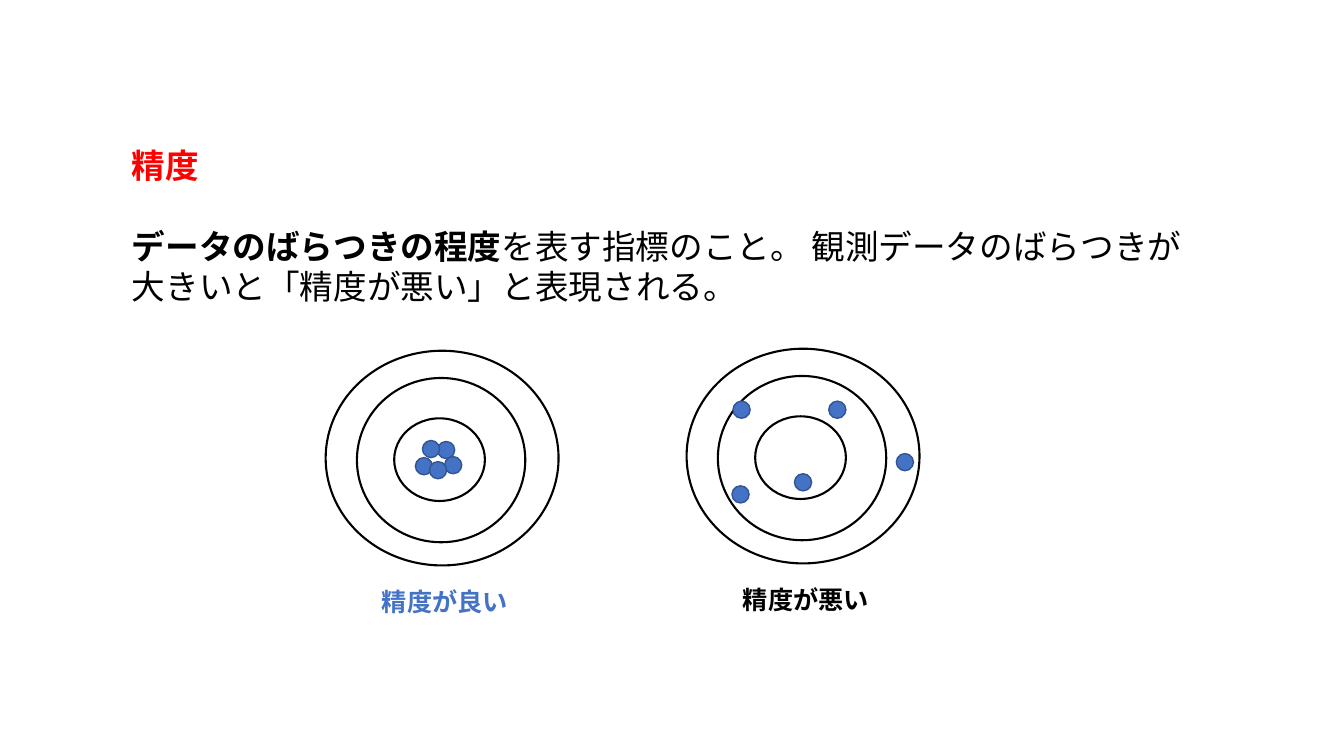
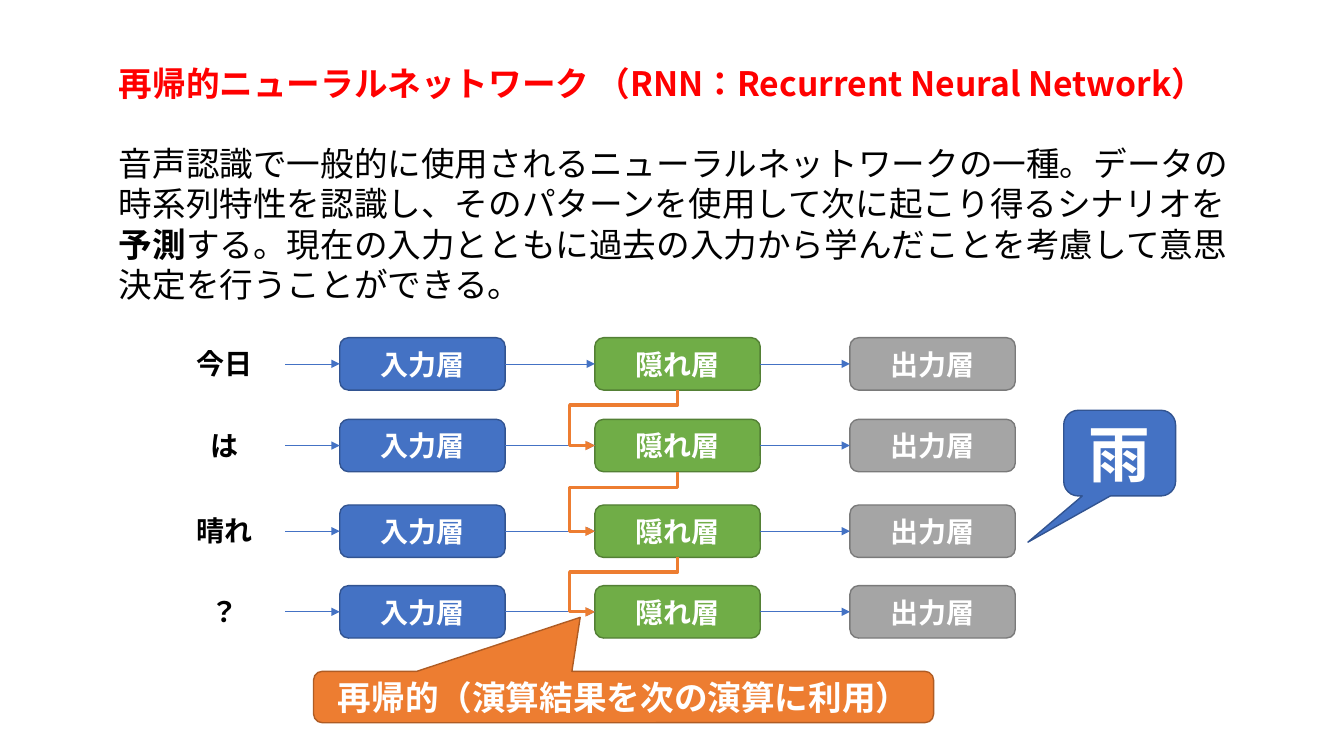
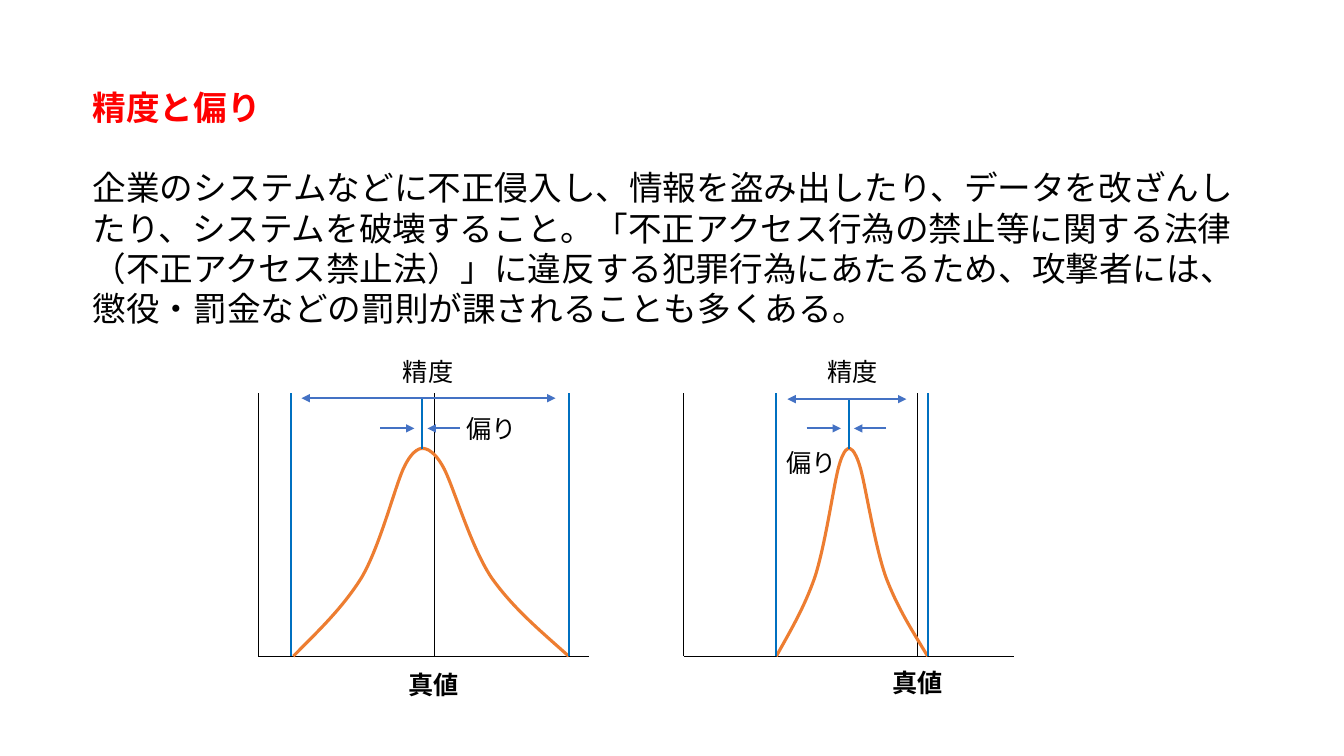
from lxml import etree
from pptx import Presentation
from pptx.dml.color import RGBColor
from pptx.enum import shapes, text
from pptx.oxml.ns import qn
from pptx.util import Inches, Pt

FONT = "Noto Sans CJK JP"
BLACK = RGBColor(0, 0, 0)
WHITE = RGBColor(255, 255, 255)
RED = RGBColor(255, 0, 0)
BLUE = RGBColor(0x44, 0x72, 0xC4)
NAVY = RGBColor(0x32, 0x54, 0x91)
AZURE = RGBColor(0, 0x70, 0xC0)
GREEN = RGBColor(0x70, 0xAD, 0x47)
MOSS = RGBColor(0x53, 0x80, 0x35)
GREY = RGBColor(0xA5, 0xA5, 0xA5)
SLATE = RGBColor(0x7A, 0x7A, 0x7A)
ORANGE = RGBColor(0xED, 0x7D, 0x31)
RUST = RGBColor(0xAF, 0x5C, 0x24)

KIND = shapes.MSO_SHAPE
LINK = shapes.MSO_CONNECTOR
CENTER = text.PP_ALIGN.CENTER

INTROS = [
    ((1.21, 1.39, 10.93, 1.72), "精度", [
        ("データのばらつきの程度", True),
        ("を表す指標のこと。 観測データのばらつきが大きいと「精度が悪い」と表現される。", False)]),
    ((1.08, 0.57, 11.29, 2.52), "再帰的ニューラルネットワーク （RNN：Recurrent Neural Network）", [
        ("音声認識で一般的に使用されるニューラルネットワークの一種。データの時系列特性を認識し、"
         "そのパターンを使用して次に起こり得るシナリオを", False),
        ("予測", True),
        ("する。現在の入力とともに過去の入力から学んだことを考慮して意思決定を行うことができる。", False)]),
    ((0.82, 0.81, 11.69, 2.52), "精度と偏り", [
        ("企業のシステムなどに不正侵入し、情報を盗み出したり、データを改ざんしたり、"
         "システムを破壊すること。「不正アクセス行為の禁止等に関する法律（不正アクセス禁止法）」"
         "に違反する犯罪行為にあたるため、攻撃者には、懲役・罰金などの罰則が課されることも多くある。",
         False)]),
]

RINGS = [(0, 0, 2.31, 2.13), (0.31, 0.27, 1.67, 1.63), (0.68, 0.67, 0.9, 0.82)]
DOT = 0.17
TARGETS = [
    ("精度が良い", BLUE, 3.23, 3.48,
     [(4.34, 4.38), (4.19, 4.37), (4.41, 4.53), (4.12, 4.54), (4.26, 4.58)]),
    ("精度が悪い", BLACK, 6.81, 3.46,
     [(8.22, 3.98), (7.27, 3.98), (8.89, 4.5), (7.26, 4.82), (7.88, 4.7)]),
]

WORDS = [("今日", 3.35), ("は", 4.16), ("晴れ", 5.01), ("？", 5.81)]
LAYERS = [("入力層", BLUE, NAVY), ("隠れ層", GREEN, MOSS), ("出力層", GREY, SLATE)]
LEFT, STEP, WIDE, HIGH = 3.37, 2.53, 1.64, 0.52
CALLS = [
    ("雨", 44, BLUE, NAVY, (10.55, 4.07, 1.11, 0.85), (-0.82, 1.04, 0.17)),
    ("再帰的（演算結果を次の演算に利用）", 24, ORANGE, RUST,
     (3.11, 6.66, 6.15, 0.51), (-0.07, -1.55, 0.17)),
]

PLOTS = [
    dict(axis=2.56, low=2.89, foot=2.91, peak=4.19, high=5.64, true=4.31,
         span=(2.99, 5.51), arrow=3.95, name=(3.95, 6.59), width=3.6, bias=(4.53, 4.05)),
    dict(axis=6.78, low=7.7, foot=7.7, peak=8.42, high=9.2, true=9.1,
         span=(7.81, 8.99), arrow=3.96, name=(8.75, 6.57), width=7.81, bias=(7.7, 4.39)),
]
TOP, BASE, CREST, SHIFT = 3.9, 6.51, 4.45, 4.25
BELL = [(0, 0), (0.19, 0.12), (0.38, 0.23), (0.53, 0.38), (0.67, 0.53),
        (0.78, 0.8), (0.85, 0.9), (0.93, 1.01), (1, 1), (1, 1)]


def write(para, runs, size, color, first=True):
    para.line_spacing = Pt(size * 1.2)
    if not first:
        para.space_before = Pt(size * 1.2)
    for words, bold in runs:
        run = para.add_run()
        run.text = words
        look = dict(name=FONT, size=Pt(size), bold=bold)
        for key, value in look.items():
            setattr(run.font, key, value)
        run.font.color.rgb = color
        props = run.font._element
        props.set("lang", "ja-JP")
        etree.SubElement(props, qn("a:ea")).set("typeface", FONT)


def label(page, box, words, size, color, bold=True, align=None):
    frame = page.shapes.add_textbox(*map(Inches, box)).text_frame
    frame.word_wrap = True
    para = frame.paragraphs[0]
    para.alignment = align
    write(para, [(words, bold)], size, color)
    return frame


def intro(page, box, title, body):
    frame = label(page, box, title, 24, RED)
    write(frame.add_paragraph(), body, 24, BLACK, False)


def paint(item, fill, edge, weight):
    item.shadow.inherit = False
    if fill is None:
        item.fill.background()
    else:
        item.fill.solid()
        item.fill.fore_color.rgb = fill
    item.line.color.rgb = edge
    item.line.width = Pt(weight)


def shape(page, kind, box, fill, edge, weight=1, words="", size=20):
    item = page.shapes.add_shape(kind, *map(Inches, box))
    paint(item, fill, edge, weight)
    if words:
        frame = item.text_frame
        frame.word_wrap = True
        frame.vertical_anchor = text.MSO_ANCHOR.MIDDLE
        frame.paragraphs[0].alignment = CENTER
        write(frame.paragraphs[0], [(words, True)], size, WHITE)
    return item


def line(page, start, end, color, weight, ends=(), kind=LINK.STRAIGHT):
    item = page.shapes.add_connector(kind, *map(Inches, start + end))
    item.line.color.rgb = color
    item.line.width = Pt(weight)
    for tag in ends:
        tip = etree.SubElement(item.line._get_or_add_ln(), qn(tag))
        tip.set("type", "triangle")
    etree.SubElement(item._element.spPr, qn("a:effectLst"))
    return item


HEAD, TAIL = "a:headEnd", "a:tailEnd"


def loop(page, upper, lower, y, below):
    start, end = (LEFT + STEP + WIDE / 2, y + HIGH), (LEFT + STEP, below + HIGH / 2)
    item = line(page, start, end, ORANGE, 2.25, [TAIL], LINK.ELBOW)
    item.begin_connect(upper, 2)
    item.end_connect(lower, 1)
    drop, run = end[1] - start[1], start[0] - end[0]
    place = dict(left=(start[0] + end[0] - drop) / 2, top=(start[1] + end[1] - run) / 2,
                 width=drop, height=run)
    for key, value in place.items():
        setattr(item, key, Inches(value))
    props = item._element.spPr
    frame = props.find(qn("a:xfrm"))
    for key in ("flipH", "flipV"):
        frame.attrib.pop(key, None)
    frame.set("rot", "5400000")
    geom = props.find(qn("a:prstGeom"))
    geom.set("prst", "bentConnector4")
    for name, value in (("adj1", 27000), ("adj2", 130500)):
        guide = etree.SubElement(geom.find(qn("a:avLst")), qn("a:gd"))
        guide.set("name", name)
        guide.set("fmla", f"val {value}")


def slope(page, foot, peak):
    spots = [(Inches(foot + x * (peak - foot)), Inches(BASE - y * (BASE - CREST)))
             for x, y in BELL]
    knots = spots[::3]
    pen = page.shapes.build_freeform(*knots[0])
    pen.add_line_segments(knots[1:], close=False)
    item = pen.convert_to_shape()
    paint(item, None, ORANGE, 2.25)
    for i, step in enumerate(list(item._element.iter(qn("a:lnTo")))):
        step.tag = qn("a:cubicBezTo")
        step.clear()
        for x, y in spots[3 * i + 1:3 * i + 4]:
            spot = etree.SubElement(step, qn("a:pt"))
            spot.set("x", str(x - item.left))
            spot.set("y", str(y - item.top))


def targets(page):
    for words, color, x, y, dots in TARGETS:
        for dx, dy, w, h in RINGS:
            shape(page, KIND.OVAL, (x + dx, y + dy, w, h), None, BLACK, 1.5)
        for spot in dots:
            shape(page, KIND.OVAL, spot + (DOT, DOT), BLUE, NAVY)
        label(page, (x + 0.46, y + 2.29, 1.79, 0.4), words, 18, color)


def network(page):
    hidden = []
    for word, y in WORDS:
        mid = y + HIGH / 2
        label(page, (1.63, y + 0.04, 1.2, 0.44), word, 20, BLACK, align=CENTER)
        for i, (name, fill, edge) in enumerate(LAYERS):
            x = LEFT + i * STEP
            item = shape(page, KIND.FLOWCHART_ALTERNATE_PROCESS, (x, y, WIDE, HIGH),
                         fill, edge, words=name)
            start = x - STEP + WIDE if i else 2.83
            line(page, (start, mid), (x, mid), BLUE, 0.5, [TAIL])
            if i == 1:
                hidden.append((item, y))
    for (upper, y), (lower, below) in zip(hidden, hidden[1:]):
        loop(page, upper, lower, y, below)
    for words, size, fill, edge, box, bends in CALLS:
        item = shape(page, KIND.ROUNDED_RECTANGULAR_CALLOUT, box, fill, edge,
                     words=words, size=size)
        for i, bend in enumerate(bends):
            item.adjustments[i] = bend


def curves(page):
    for plot in PLOTS:
        axis, peak, arrow = plot["axis"], plot["peak"], plot["arrow"]
        for x in (axis, plot["true"]):
            line(page, (x, TOP), (x, BASE), BLACK, 0.5)
        line(page, (axis, BASE), (axis + 3.28, BASE), BLACK, 0.5)
        for foot in (plot["foot"], plot["high"]):
            slope(page, foot, peak)
        for x in (plot["low"], plot["high"]):
            line(page, (x, TOP), (x, BASE), AZURE, 1.5)
        line(page, (peak, arrow), (peak, CREST), AZURE, 1.5)
        left, right = plot["span"]
        line(page, (left, arrow), (right, arrow), BLUE, 1.5, [HEAD, TAIL])
        for start, end in ((-0.42, -0.08), (0.37, 0.05)):
            line(page, (peak + start, SHIFT), (peak + end, SHIFT), BLUE, 1.5, [TAIL])
        label(page, plot["name"] + (0.73, 0.4), "真値", 18, BLACK)
        label(page, (plot["width"], 3.49, 1.29, 0.4), "精度", 18, BLACK, False, CENTER)
        label(page, plot["bias"] + (1.29, 0.4), "偏り", 18, BLACK, False)


def main():
    deck = Presentation()
    deck.slide_width, deck.slide_height = Inches(13.33), Inches(7.5)
    for head, draw in zip(INTROS, (targets, network, curves)):
        page = deck.slides.add_slide(deck.slide_layouts[6])
        intro(page, *head)
        draw(page)
    deck.save("out.pptx")


if __name__ == "__main__":
    main()
